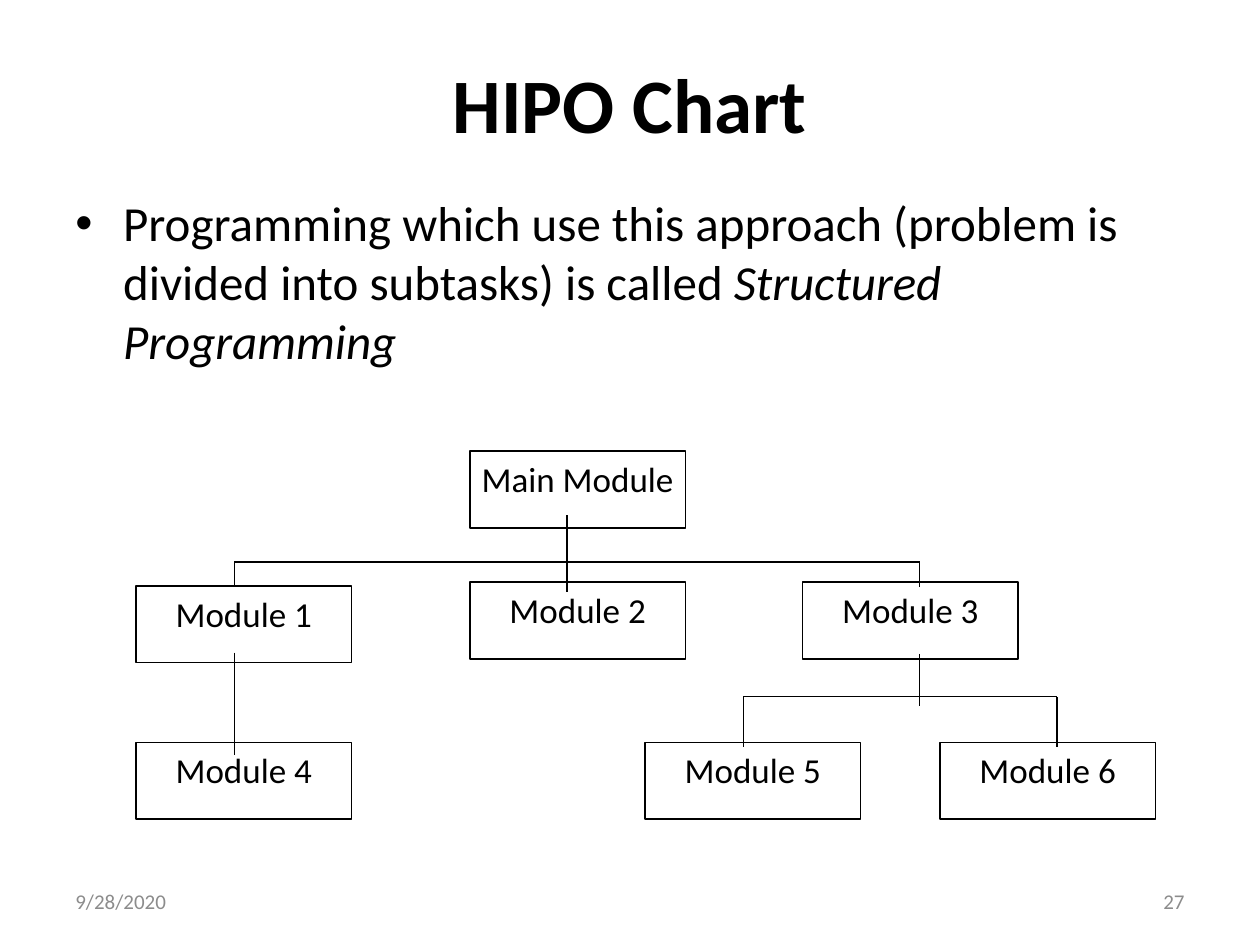
from typing import NamedTuple

from lxml.etree import SubElement
from pptx import Presentation
from pptx.dml.color import RGBColor
from pptx.enum.shapes import MSO_CONNECTOR, MSO_SHAPE
from pptx.enum.text import MSO_ANCHOR, PP_ALIGN
from pptx.oxml.ns import qn
from pptx.slide import Slide
from pptx.text.text import TextFrame, _Paragraph
from pptx.util import Inches, Pt

COLORS = {"ink": "000000", "paper": "FFFFFF", "footer": "8C8C8C"}
FONT = "Calibri"
MODULE_WIDTH, MODULE_HEIGHT = 1.71, 0.61
LINE_WIDTH = 0.75


class Module(NamedTuple):
    name: str
    left: float
    top: float


class Line(NamedTuple):
    x1: float
    y1: float
    x2: float
    y2: float


class Label(NamedTuple):
    text: str
    left: float
    top: float
    width: float
    height: float
    size: int
    align: PP_ALIGN
    color: str = "ink"
    bold: bool = False


MODULES = [
    Module("Main Module", 3.73, 3.58),
    Module("Module 3", 6.37, 4.62),
    Module("Module 2", 3.73, 4.62),
    Module("Module 1", 1.08, 4.65),
    Module("Module 5", 5.12, 5.89),
    Module("Module 4", 1.08, 5.89),
    Module("Module 6", 7.46, 5.89),
]

LABELS = [
    Label("HIPO Chart", 0.5, 0.3, 9, 1.03, 44, PP_ALIGN.CENTER, bold=True),
    Label("9/28/2020", 0.5, 6.95, 2.33, 0.4, 12, PP_ALIGN.LEFT, "footer"),
    Label("27", 7.17, 6.95, 2.33, 0.4, 12, PP_ALIGN.RIGHT, "footer"),
]


def branch(left: float, right: float, top: float, bottom: float) -> list[Line]:
    """Return a horizontal bar with a drop at each end."""
    return [
        Line(left, top, right, top),
        Line(left, top, left, bottom),
        Line(right, top, right, bottom),
    ]


LINES = [
    Line(4.5, 4.09, 4.5, 4.7),
    *branch(1.86, 7.3, 4.46, 4.66),
    Line(7.3, 5.19, 7.3, 5.6),
    *branch(5.9, 8.39, 5.53, 5.93),
    Line(1.86, 5.18, 1.86, 5.99),
]


def rgb(name: str) -> RGBColor:
    return RGBColor.from_string(COLORS[name])


def style_paragraph(paragraph: _Paragraph, size: int, color: str = "ink", bold: bool = False) -> None:
    font = paragraph.font
    font.name = FONT
    font.size = Pt(size)
    font.bold = bold
    font.color.rgb = rgb(color)


def add_text_frame(slide: Slide, left: float, top: float, width: float, height: float) -> TextFrame:
    box = slide.shapes.add_textbox(Inches(left), Inches(top), Inches(width), Inches(height))
    box.text_frame.word_wrap = True
    return box.text_frame


def add_label(slide: Slide, label: Label) -> None:
    frame = add_text_frame(slide, label.left, label.top, label.width, label.height)
    frame.vertical_anchor = MSO_ANCHOR.MIDDLE
    paragraph = frame.paragraphs[0]
    paragraph.text = label.text
    paragraph.alignment = label.align
    style_paragraph(paragraph, label.size, label.color, label.bold)


def add_body(slide: Slide) -> None:
    paragraph = add_text_frame(slide, 0.5, 1.48, 9, 5.22).paragraphs[0]
    properties = paragraph._p.get_or_add_pPr()
    properties.set("marL", str(Inches(0.38)))
    properties.set("indent", str(Inches(-0.38)))
    SubElement(properties, qn("a:buFont")).set("typeface", "Arial")
    SubElement(properties, qn("a:buChar")).set("char", "•")
    style_paragraph(paragraph, 28)
    paragraph.add_run().text = (
        "Programming which use this approach (problem is divided into subtasks) is called "
    )
    term = paragraph.add_run()
    term.text = "Structured Programming"
    term.font.italic = True


def add_module(slide: Slide, module: Module) -> None:
    shape = slide.shapes.add_shape(
        MSO_SHAPE.RECTANGLE,
        Inches(module.left), Inches(module.top), Inches(MODULE_WIDTH), Inches(MODULE_HEIGHT),
    )
    shape.shadow.inherit = False
    shape.fill.solid()
    shape.fill.fore_color.rgb = rgb("paper")
    shape.line.color.rgb = rgb("ink")
    shape.line.width = Pt(LINE_WIDTH)
    frame = shape.text_frame
    frame.margin_left = frame.margin_right = Inches(0.02)
    frame.margin_top = frame.margin_bottom = Inches(0.05)
    frame.vertical_anchor = MSO_ANCHOR.TOP
    paragraph = frame.paragraphs[0]
    paragraph.text = module.name
    paragraph.alignment = PP_ALIGN.CENTER
    style_paragraph(paragraph, 20)


def add_line(slide: Slide, line: Line) -> None:
    connector = slide.shapes.add_connector(
        MSO_CONNECTOR.STRAIGHT,
        Inches(line.x1), Inches(line.y1), Inches(line.x2), Inches(line.y2),
    )
    connector.line.color.rgb = rgb("ink")
    connector.line.width = Pt(LINE_WIDTH)
    SubElement(connector._element.spPr, qn("a:effectLst"))


def main() -> None:
    presentation = Presentation()
    presentation.slide_width = Inches(10)
    presentation.slide_height = Inches(7.5)
    slide = presentation.slides.add_slide(presentation.slide_layouts[6])
    title, *footers = LABELS
    add_label(slide, title)
    add_body(slide)
    for module in MODULES:
        add_module(slide, module)
    for line in LINES:
        add_line(slide, line)
    for footer in footers:
        add_label(slide, footer)
    presentation.save("out.pptx")


if __name__ == "__main__":
    main()
